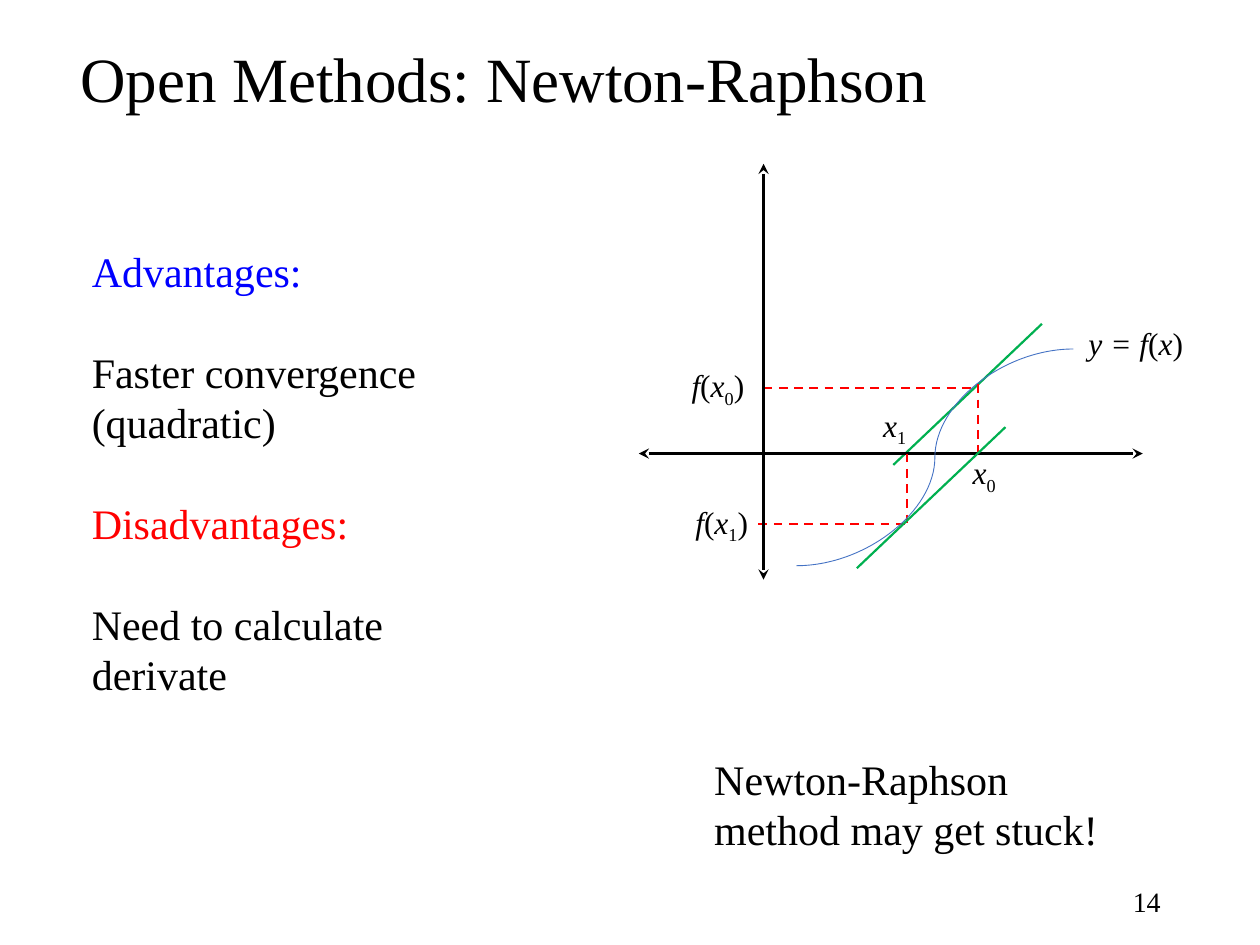
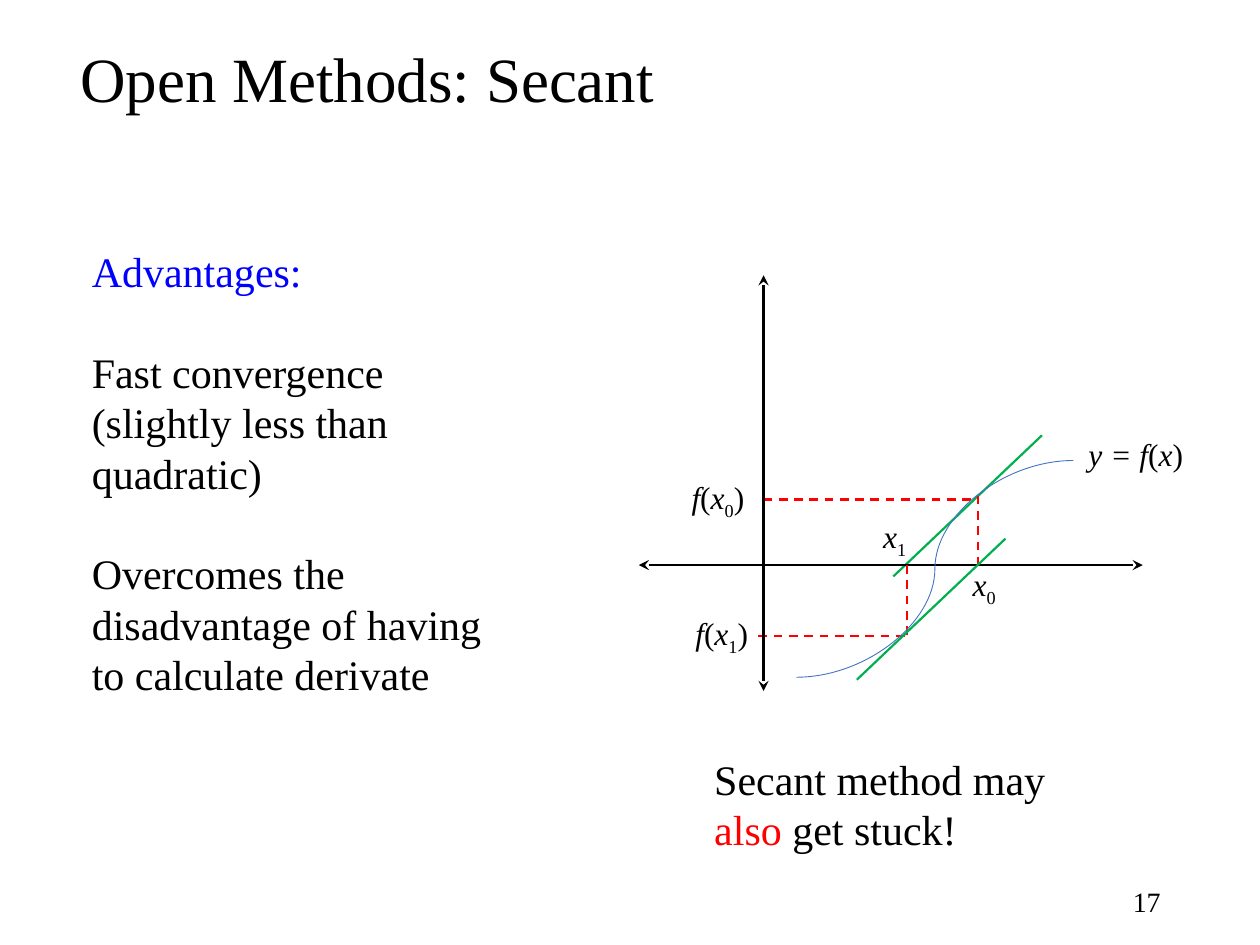
"""Two slides comparing the Newton-Raphson and secant methods, each with a root-finding sketch."""
from lxml import etree
from pptx import Presentation
from pptx.dml.color import RGBColor
from pptx.enum.dml import MSO_LINE
from pptx.enum.shapes import MSO_CONNECTOR
from pptx.enum.text import MSO_ANCHOR, PP_ALIGN
from pptx.oxml.ns import qn
from pptx.util import Inches, Pt

BLACK = RGBColor(0, 0, 0)
BLUE = RGBColor(0, 0, 0xFF)
RED = RGBColor(0xFF, 0, 0)
GREEN = RGBColor(0, 0xB0, 0x50)
CURVE_BLUE = RGBColor(0x44, 0x72, 0xC4)
FONT = "Times New Roman"
BLANK_LINE = Pt(28.8)

IT = {"italic": True}
SUB = {"baseline": "-25000"}


def add_text(shapes, box, paragraphs, size, para_format=None, anchor=MSO_ANCHOR.TOP, gap=None):
    """Add a text box; each paragraph is a list of (text, font format) runs."""
    tf = shapes.add_textbox(*map(Inches, box)).text_frame
    tf.word_wrap = True
    tf.vertical_anchor = anchor
    for n, runs in enumerate(paragraphs):
        p = tf.add_paragraph() if n else tf.paragraphs[0]
        if n and gap:
            p.space_before = gap
        for name, value in (para_format or {}).items():
            setattr(p, name, value)
        for text, fmt in runs:
            r = p.add_run()
            r.text = text
            r.font.name, r.font.size = FONT, Pt(size)
            r.font.color.rgb = fmt.get("color", BLACK)
            r.font.italic = fmt.get("italic", False)
            if "baseline" in fmt:
                r._r.get_or_add_rPr().set("baseline", fmt["baseline"])


def add_line(shapes, start, end, color, width, kind=MSO_CONNECTOR.STRAIGHT, dash=None, arrows=False):
    """Add a shadowless connector, optionally dashed or with arrowheads at both ends."""
    c = shapes.add_connector(kind, *map(Inches, (*start, *end)))
    c.line.color.rgb = color
    c.line.width = Pt(width)
    if dash:
        c.line.dash_style = dash
    if arrows:
        ln = c.line._get_or_add_ln()
        for tag in ("a:headEnd", "a:tailEnd"):
            etree.SubElement(ln, qn(tag), type="stealth")
    etree.SubElement(c._element.spPr, qn("a:effectLst"))


DASHED = {"color": RED, "width": 1.25, "dash": MSO_LINE.DASH}
TANGENT = {"color": GREEN, "width": 1.25}
AXIS = {"color": BLACK, "width": 1.5, "arrows": True}
CURVE = {"color": CURVE_BLUE, "width": 0.5, "kind": MSO_CONNECTOR.CURVE}

LABELS = [
    ((7.62, 3.55, 0.42), [("x", IT), ("0", SUB)]),
    ((6.91, 3.17, 0.42), [("x", IT), ("1", SUB)]),
    ((8.54, 2.52, 1.05), [("y = f", IT), ("(", {}), ("x", IT), (")", {})]),
    ((5.39, 2.86, 0.76), [("f", IT), ("(", {}), ("x", IT), ("0", SUB), (")", {})]),
    ((5.42, 3.94, 0.76), [("f", IT), ("(", {}), ("x", IT), ("1", SUB), (")", {})]),
]
LINES = [
    ((7.09, 3.69), (8.27, 2.57), TANGENT),
    ((6.02, 4.16), (7.22, 4.16), DASHED),
    ((7.76, 3.05), (7.76, 3.65), DASHED),
    ((6.06, 3.08), (7.76, 3.08), DASHED),
    ((5.07, 3.6), (9.07, 3.6), AXIS),
    ((6.06, 4.6), (6.06, 1.3), AXIS),
    ((7.2, 3.6), (7.2, 4.2), DASHED),
    ((6.32, 4.49), (8.52, 2.77), CURVE),
    ((6.8, 4.51), (7.98, 3.39), TANGENT),
]
SLIDES = [
    {
        "title": "Open Methods: Newton-Raphson",
        "number": "14",
        "sketch_drop": 0,
        "points": [
            ("Advantages:", {"color": BLUE}),
            ("Faster convergence (quadratic)", {}),
            ("Disadvantages:", {"color": RED}),
            ("Need to calculate derivate", {}),
        ],
        "caption": [("Newton-Raphson method may get stuck!", {})],
    },
    {
        "title": "Open Methods: Secant",
        "number": "17",
        "sketch_drop": 0.885,
        "points": [
            ("Advantages:", {"color": BLUE}),
            ("Fast convergence (slightly less than quadratic)", {}),
            ("Overcomes the disadvantage of having to calculate derivate", {}),
        ],
        "caption": [("Secant method may ", {}), ("also", {"color": RED}), (" get stuck!", {})],
    },
]

prs = Presentation()
prs.slide_width, prs.slide_height = Inches(10), Inches(7.5)

for content in SLIDES:
    s = prs.slides.add_slide(prs.slide_layouts[6])
    add_text(s.shapes, (0.54, 0.35, 7.57, 0.6), [[(content["title"], {})]], 36,
             {"line_spacing": 0.9}, MSO_ANCHOR.MIDDLE)

    drop = content["sketch_drop"]
    sketch = s.shapes.add_group_shape().shapes
    for (x, y, w), runs in LABELS:
        add_text(sketch, (x, y + drop, w, 0.4), [runs], 18)
    for (x1, y1), (x2, y2), style in LINES:
        add_line(sketch, (x1, y1 + drop), (x2, y2 + drop), **style)

    add_text(s.shapes, (0.63, 1.9, 3.32, 3.74), [[point] for point in content["points"]], 24,
             gap=BLANK_LINE)
    add_text(s.shapes, (5.57, 5.93, 3.32, 0.91), [content["caption"]], 24)
    add_text(s.shapes, (7.06, 6.95, 2.25, 0.4), [[(content["number"], {})]], 16,
             {"alignment": PP_ALIGN.RIGHT}, MSO_ANCHOR.MIDDLE)

prs.save("out.pptx")
